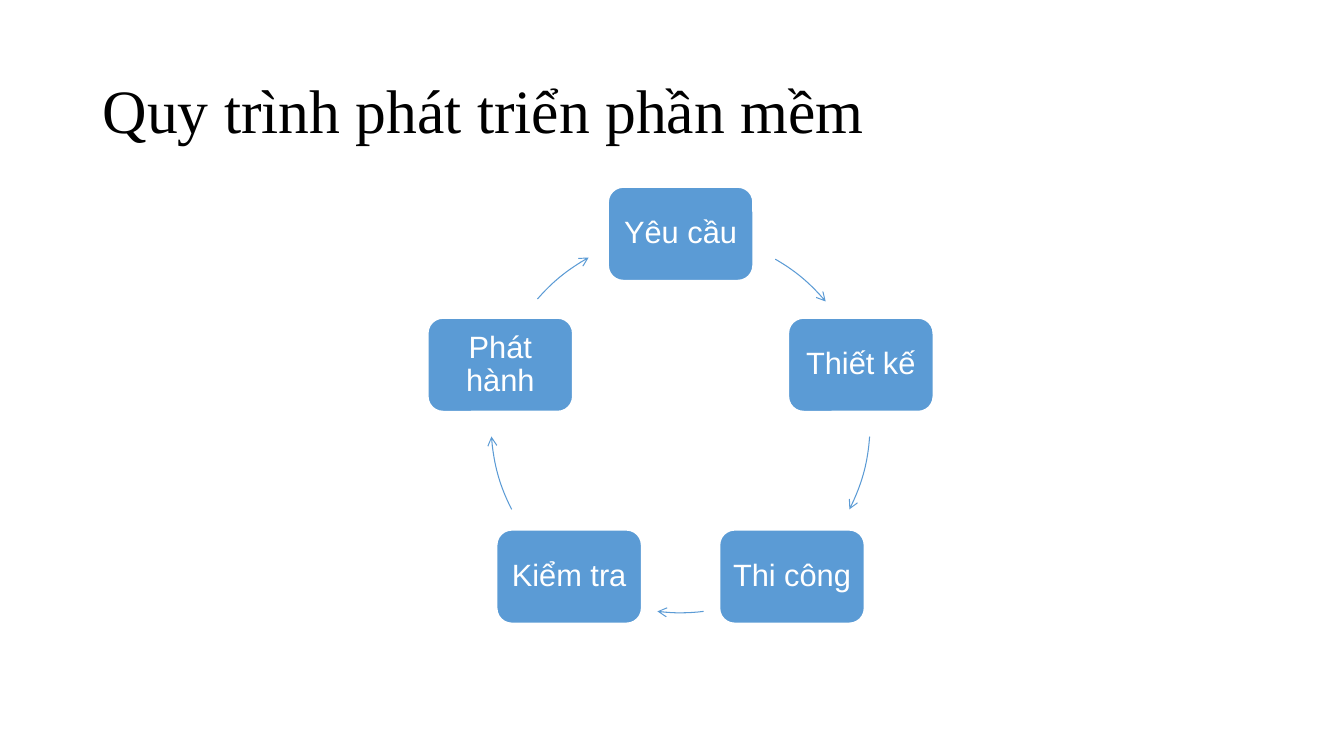
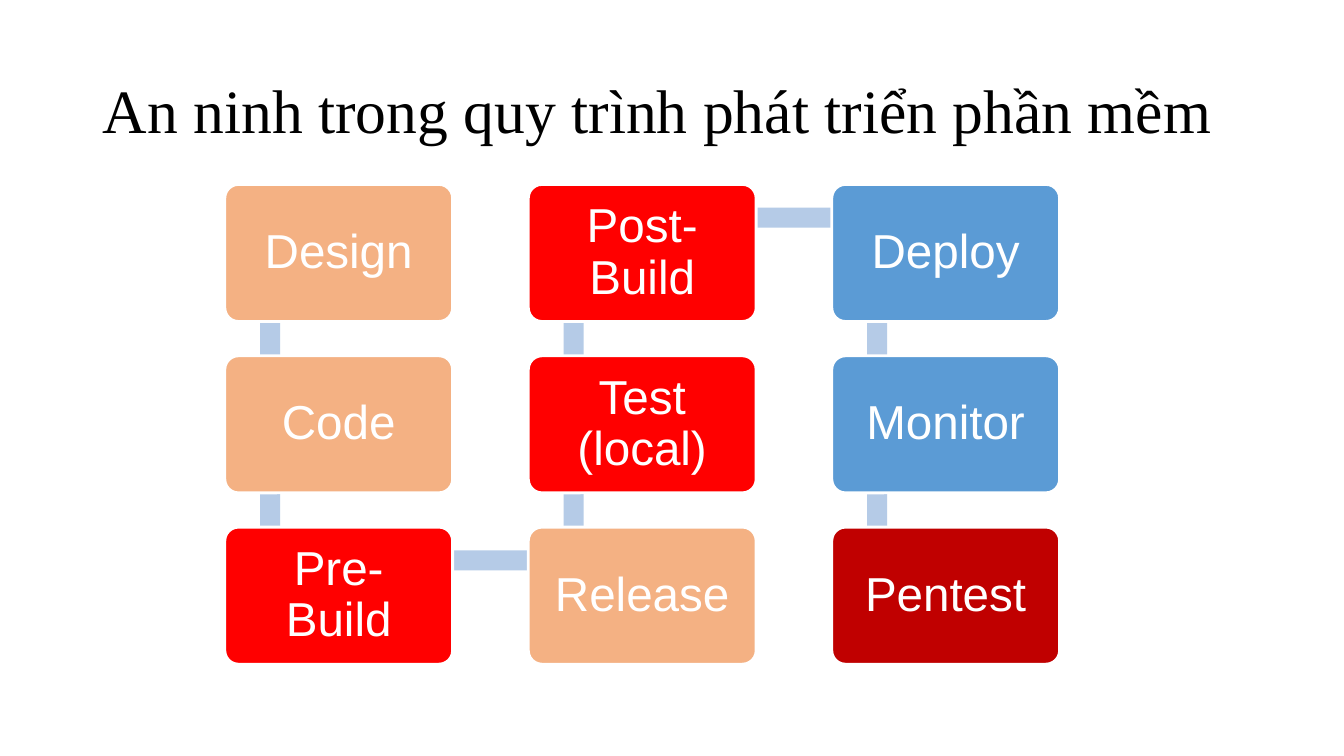
from math import cos, radians, sin

from lxml.etree import SubElement
from pptx import Presentation
from pptx.dml.color import RGBColor
from pptx.enum.shapes import MSO_SHAPE
from pptx.enum.text import MSO_ANCHOR, PP_ALIGN
from pptx.oxml.ns import qn
from pptx.util import Inches, Pt

BLUE, PEACH, RED, DARK = "5B9BD5", "F4B183", "FF0000", "C00000"
WHITE, BLACK, PALE = "FFFFFF", "000000", "B5CBE7"


def paint(color, hue):
    """Set a fill's, line's or font's colour from a hex string."""
    color.rgb = RGBColor.from_string(hue)


def add_box(slide, kind, place, fill=None, text="", size=0, inset=0, face="Arial"):
    """Add a shape, or a left-aligned text box where kind is None."""
    place = [Inches(n) for n in place]
    if kind is None:
        box = slide.shapes.add_textbox(*place)
    else:
        box = slide.shapes.add_shape(kind, *place)
        box.shadow.inherit = False
        box.line.fill.background()
    if fill:
        box.fill.solid()
        paint(box.fill.fore_color, fill)
    if text:
        frame = box.text_frame
        frame.word_wrap = True
        frame.vertical_anchor = MSO_ANCHOR.MIDDLE
        frame.margin_left = frame.margin_right = Inches(inset)
        frame.margin_top = frame.margin_bottom = Inches(inset)
        para = frame.paragraphs[0]
        para.text = text
        para.line_spacing = 0.9
        para.alignment = PP_ALIGN.CENTER if kind else PP_ALIGN.LEFT
        para.font.size, para.font.name = Pt(size), face
        paint(para.font.color, WHITE if kind else BLACK)
    if text and kind:
        paint(box.line.color, WHITE)
        box.line.width = Pt(2)
    return box


deck = Presentation()
deck.slide_width, deck.slide_height = Inches(13.33), Inches(7.5)

# Both slides with their titles
slides = []
for title in ("Quy trình phát triển phần mềm",
              "An ninh trong quy trình phát triển phần mềm"):
    slide = deck.slides.add_slide(deck.slide_layouts[6])
    add_box(slide, None, (0.92, 0.4, 11.5, 1.45), None, title, 44, 0.1,
            "Times New Roman")
    slides.append(slide)
cycle, snake = slides

# Cycle: five steps on a ring, clockwise from the top
mid_x, mid_y, radius = 6.75, 4.2, 1.88
wide, high = 1.45, 0.94
steps = ["Yêu cầu", "Thiết kế", "Thi công", "Kiểm tra", "Phát hành"]
for i, step in enumerate(steps):
    turn = radians(360 / len(steps) * i - 90)
    left = mid_x + radius * cos(turn) - wide / 2
    top = mid_y + radius * sin(turn) - high / 2
    add_box(cycle, MSO_SHAPE.ROUNDED_RECTANGLE, (left, top, wide, high),
            BLUE, step, 22, 0.09)

# Arrows along the ring, in degrees clockwise from the right
for start, end in ((300, 320), (4, 27), (83, 97), (153, 176), (221, 241)):
    arc = add_box(cycle, MSO_SHAPE.ARC, (mid_x - radius, mid_y - radius,
                                         2 * radius, 2 * radius))
    arc.adjustments[0] = start * 0.6  # 60000 units a degree, over 100000
    arc.adjustments[1] = end * 0.6
    arc.fill.background()
    paint(arc.line.color, BLUE)
    arc.line.width = Pt(0.75)
    SubElement(arc.line._get_or_add_ln(), qn("a:tailEnd"), type="arrow")

# Snake: down the first column, up the second, down the third
stages = [("Design", PEACH), ("Code", PEACH), ("Pre-Build", RED),
          ("Release", PEACH), ("Test (local)", RED), ("Post-Build", RED),
          ("Deploy", BLUE), ("Monitor", BLUE), ("Pentest", DARK)]
rows, wide, high = 3, 2.26, 1.36
col_step, row_step, thick = 3.01, 1.7, 0.2
spots = []
for i in range(len(stages)):
    col, row = divmod(i, rows)
    if col % 2:
        row = rows - 1 - row
    spots.append((2.23 + col * col_step, 1.83 + row * row_step))

# Links lie behind the stages
for (x, y), (next_x, next_y) in zip(spots, spots[1:]):
    if x == next_x:
        place = (x + 0.35, min(y, next_y) + high / 4, thick, row_step)
    else:
        place = (x + 0.46, y + 0.23, col_step, thick)
    add_box(snake, MSO_SHAPE.RECTANGLE, place, PALE)

for (name, hue), spot in zip(stages, spots):
    card = add_box(snake, MSO_SHAPE.ROUNDED_RECTANGLE, (*spot, wide, high),
                   hue, name, 34, 0.14)
    card.adjustments[0] = 0.1

deck.save("out.pptx")
